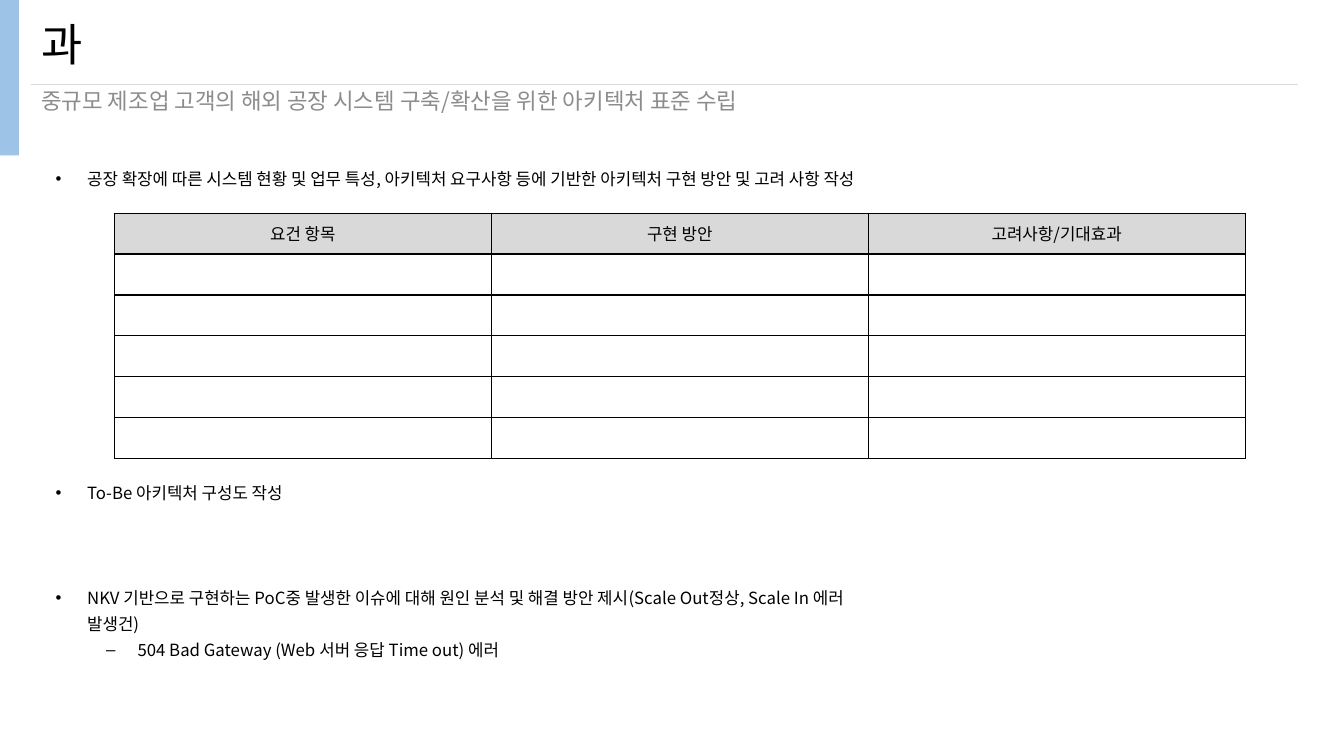
from dataclasses import dataclass

from lxml import etree
from pptx import Presentation
from pptx import util as u
from pptx.dml.color import RGBColor
from pptx.enum import shapes, text
from pptx.oxml.ns import qn

PX = 9525  # EMU per px, slide is 1280 x 720 px


@dataclass(frozen=True)
class Theme:
    font: str = "Noto Sans CJK KR"
    black: str = "000000"
    grey: str = "8C8C8C"
    rule: str = "D9D9D9"
    accent: str = "9DC3E6"
    title: int = 32
    subtitle: int = 16
    body: int = 12


T = Theme()

HEADERS = ["요건 항목", "구현 방안", "고려사항/기대효과"]
EMPTY_ROWS = 5
# Level, space before in points, wording
BULLETS = [
    (0, 0, "공장 확장에 따른 시스템 현황 및 업무 특성, 아키텍처 요구사항 등에 기반한 "
           "아키텍처 구현 방안 및 고려 사항 작성"),
    (0, 205.5, "To-Be 아키텍처 구성도 작성"),
    (0, 56, "NKV 기반으로 구현하는 PoC중 발생한 이슈에 대해 원인 분석 및 해결 방안 제시"
            "(Scale Out정상, Scale In 에러 발생건)"),
    (1, 0, "504 Bad Gateway (Web 서버 응답 Time out) 에러"),
]
BULLET_MARKS = ["•", "–"]
BULLET_INDENTS = [30, 78]


def px(*lengths):
    return [u.Emu(n * PX) for n in lengths]


def rgb(colour):
    return RGBColor.from_string(colour)


def apply(obj, **values):
    for name, value in values.items():
        setattr(obj, name, value)


def add_run(p, words, size, colour=T.black):
    r = p.add_run()
    r.text = words
    apply(r.font, name=T.font, size=u.Pt(size))
    r.font.color.rgb = rgb(colour)
    etree.SubElement(r.font._element, qn("a:ea"), typeface=T.font)


def add_text_frame(s, box):
    tf = s.shapes.add_textbox(*px(*box)).text_frame
    tf.word_wrap = True
    return tf


def add_header(s, x, y, w, h):
    # Accent bar and rule
    bar = s.shapes.add_shape(shapes.MSO_SHAPE.RECTANGLE, *px(x, y, 18, h))
    bar.shadow.inherit = False
    bar.fill.solid()
    bar.fill.fore_color.rgb = rgb(T.accent)
    bar.line.fill.background()
    rule = s.shapes.add_connector(shapes.MSO_CONNECTOR.STRAIGHT,
                                  *px(x + 30, y + 80, x + w - 44, y + 80))
    rule.line.color.rgb = rgb(T.rule)
    rule.line.width = u.Pt(0.5)
    etree.SubElement(rule._element.spPr, qn("a:effectLst"))

    # Title and subtitle
    for words, top, height, size, colour, anchor in (
        ("과", 12, 66, T.title, T.black, text.MSO_ANCHOR.MIDDLE),
        ("중규모 제조업 고객의 해외 공장 시스템 구축/확산을 위한 아키텍처 표준 수립",
         81, 49, T.subtitle, T.grey, text.MSO_ANCHOR.TOP),
    ):
        tf = add_text_frame(s, (x + 30, y + top, 1104, height))
        tf.vertical_anchor = anchor
        p = tf.paragraphs[0]
        p.line_spacing = 0.9
        add_run(p, words, size, colour)


def add_bullets(s, x, y, w, h):
    tf = add_text_frame(s, (x, y, w, h))
    inset = u.Emu(4 * PX)
    apply(tf, margin_left=inset, margin_right=inset, margin_top=inset, margin_bottom=inset)
    for i, (level, gap, words) in enumerate(BULLETS):
        p = tf.add_paragraph() if i else tf.paragraphs[0]
        apply(p, level=level, line_spacing=1.3, space_before=u.Pt(gap))
        pPr = p._p.get_or_add_pPr()
        pPr.set("marL", str(BULLET_INDENTS[level] * PX))
        pPr.set("indent", str(-30 * PX))
        etree.SubElement(pPr, qn("a:buFont"), typeface="Arial")
        etree.SubElement(pPr, qn("a:buChar"), char=BULLET_MARKS[level])
        add_run(p, words, T.body)


def add_borders(cell):
    tcPr = cell._tc.get_or_add_tcPr()
    for side in ("lnL", "lnR", "lnT", "lnB"):
        ln = etree.SubElement(tcPr, qn("a:" + side), w=str(u.Pt(1)))
        fill = etree.SubElement(ln, qn("a:solidFill"))
        etree.SubElement(fill, qn("a:srgbClr"), val=T.black)


def add_requirements(s, x, y, w, h):
    rows = [HEADERS] + [[""] * len(HEADERS)] * EMPTY_ROWS
    table = s.shapes.add_table(len(rows), len(HEADERS), *px(x, y, w, h)).table
    apply(table, first_row=False, horz_banding=False)
    for i, row in enumerate(rows):
        for j, words in enumerate(row):
            cell = table.cell(i, j)
            apply(cell, margin_top=0, margin_bottom=0,
                  vertical_anchor=text.MSO_ANCHOR.MIDDLE)
            add_borders(cell)
            if words:
                cell.fill.solid()
                cell.fill.fore_color.rgb = rgb(T.rule)
                p = cell.text_frame.paragraphs[0]
                p.alignment = text.PP_ALIGN.CENTER
                add_run(p, words, T.body)
            else:
                cell.fill.background()


def main():
    prs = Presentation()
    prs.slide_width, prs.slide_height = px(1280, 720)
    s = prs.slides.add_slide(prs.slide_layouts[6])
    add_header(s, 0, 0, 1280, 148)
    add_bullets(s, 49, 151, 804, 460)
    add_requirements(s, 109, 203, 1077, 234)
    prs.save("out.pptx")


if __name__ == "__main__":
    main()
